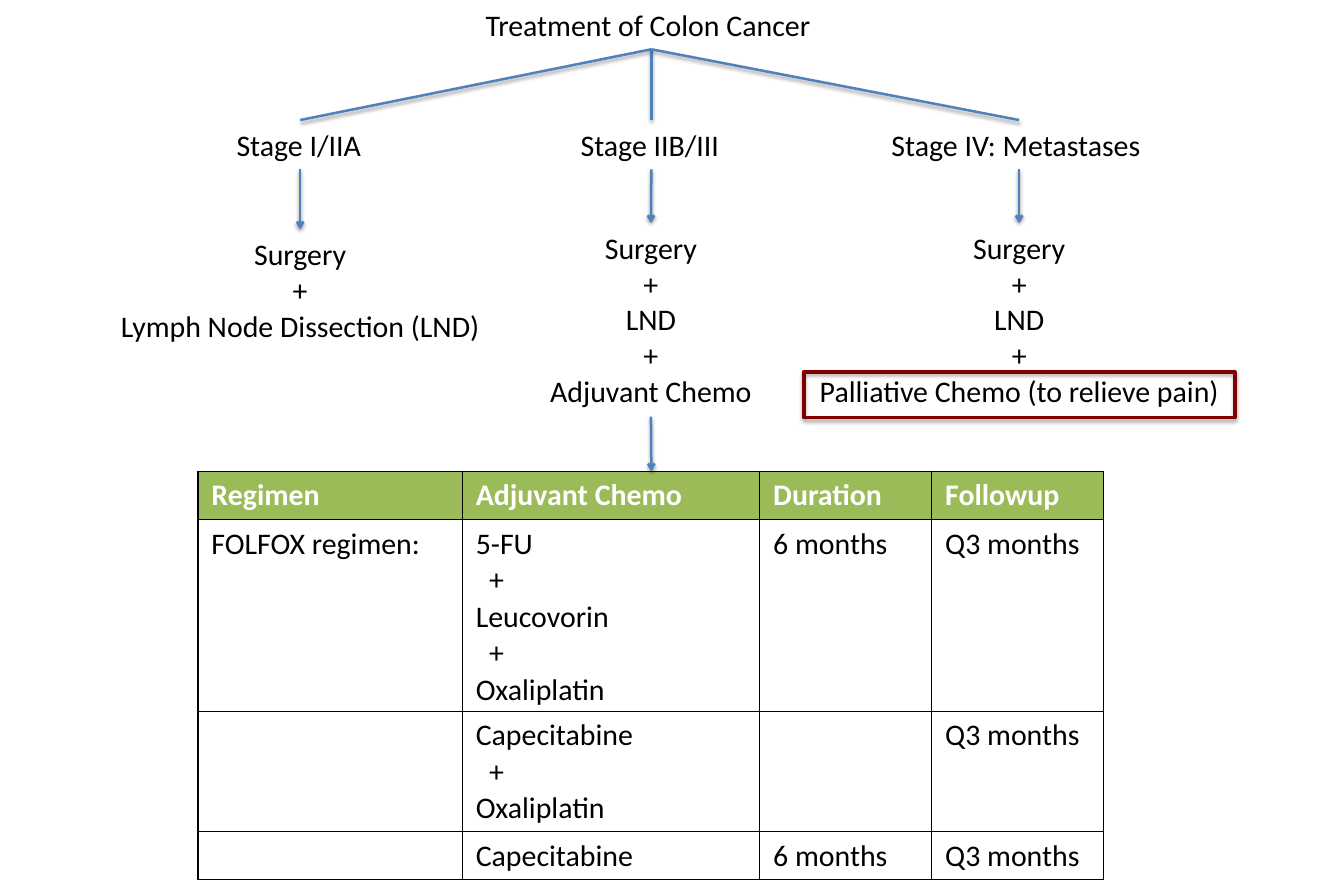
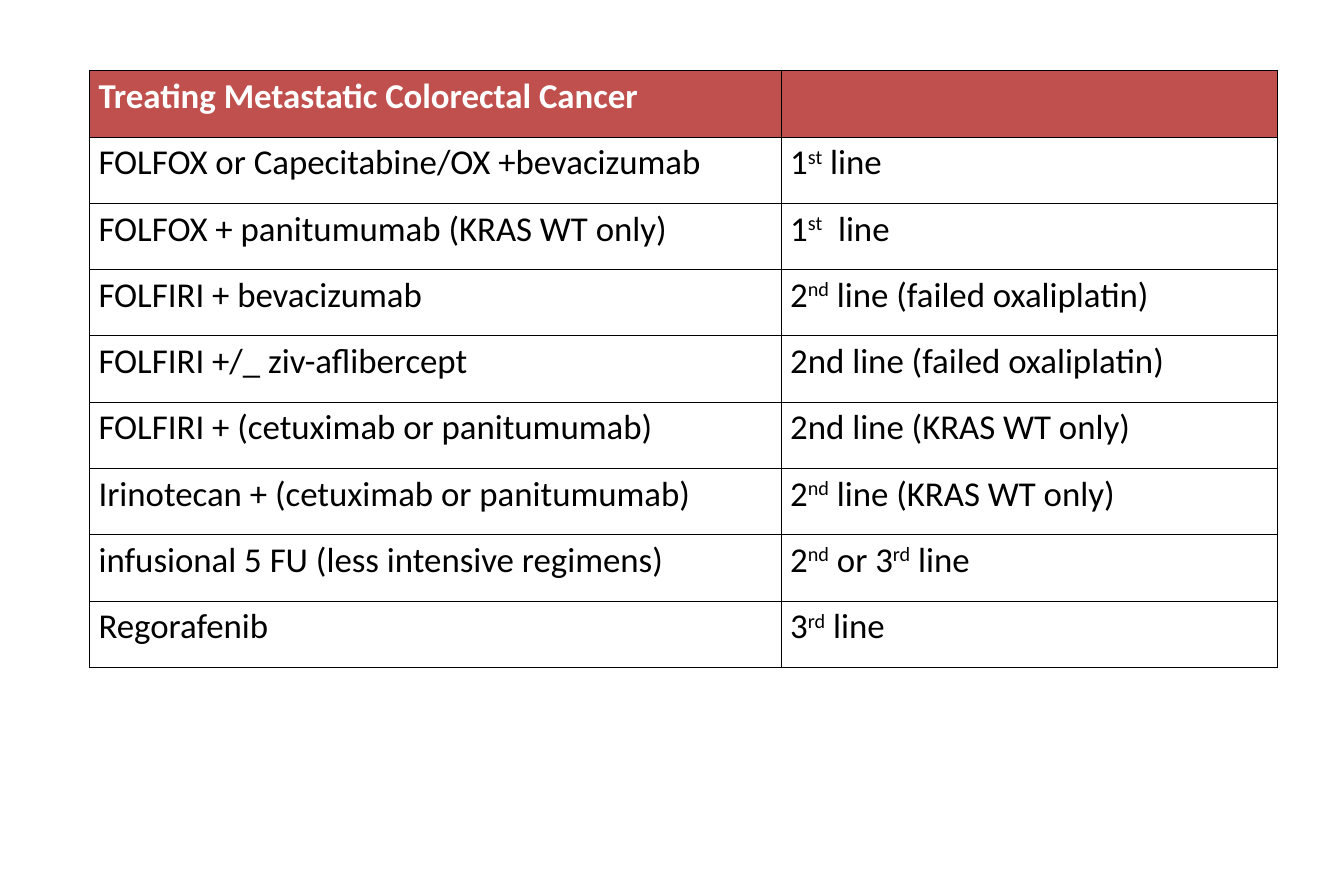
"""Builds two slides on the treatment of colon cancer."""
from lxml import etree
from pptx import Presentation
from pptx.dml.color import RGBColor
from pptx.enum.shapes import MSO_CONNECTOR, MSO_SHAPE
from pptx.enum.text import MSO_AUTO_SIZE, PP_ALIGN
from pptx.oxml.ns import qn
from pptx.util import Inches, Pt

STRAIGHT = MSO_CONNECTOR.STRAIGHT
RECTANGLE = MSO_SHAPE.RECTANGLE
FIT_SHAPE = MSO_AUTO_SIZE.SHAPE_TO_FIT_TEXT
LEFT, CENTER = PP_ALIGN.LEFT, PP_ALIGN.CENTER
TOP, BOTTOM = 0, 2
FONT = "Calibri"
COLORS = {
    "text": "000000",
    "header text": "FFFFFF",
    "arrow": "4F81BD",
    "highlight": "800000",
    "regimen header": "9BBB59",
    "metastatic header": "C0504D",
}


def add_shadow(shape, opacity, distance):
    effects = etree.SubElement(shape._element.spPr, qn("a:effectLst"))
    shadow = etree.SubElement(effects, qn("a:outerShdw"), blurRad=str(Pt(3.1)),
                              dist=str(Pt(distance)), dir="5400000", rotWithShape="0")
    color = etree.SubElement(shadow, qn("a:srgbClr"), val=COLORS["text"])
    etree.SubElement(color, qn("a:alpha"), val=str(opacity * 1000))


def add_grid(page, left, top, widths, heights, rows, header, size, margins):
    frame = page.shapes.add_table(len(rows), len(widths), Inches(left), Inches(top),
                                  Inches(sum(widths)), Inches(sum(heights)))
    table = frame.table
    table.horz_banding = False
    for column, width in zip(table.columns, widths):
        column.width = Inches(width)
    for row_index, (row, height, texts) in enumerate(zip(table.rows, heights, rows)):
        row.height = Inches(height)
        is_header = row_index == 0
        for cell, text in zip(row.cells, texts):
            cell.margin_left = cell.margin_right = Inches(margins[0])
            cell.margin_top = cell.margin_bottom = Inches(margins[1])
            properties = cell._tc.get_or_add_tcPr()
            for side in ("lnL", "lnR", "lnT", "lnB"):
                border = etree.SubElement(properties, qn(f"a:{side}"), w=str(Pt(1)))
                paint = etree.SubElement(border, qn("a:solidFill"))
                etree.SubElement(paint, qn("a:srgbClr"), val=COLORS["text"])
            if is_header:
                cell.fill.solid()
                cell.fill.fore_color.rgb = RGBColor.from_string(COLORS[header])
            else:
                cell.fill.background()
            cell.text = text.replace("^", "") if "^" not in text else ""
            for para in cell.text_frame.paragraphs:
                if "^" in text:
                    for part_index, part in enumerate(text.split("^")):
                        span = para.add_run()
                        span.text = part
                        if part_index % 2:
                            span._r.get_or_add_rPr().set("baseline", "30000")
                if para.text == "+":
                    para._p.get_or_add_pPr().set("marL", str(Inches(0.15)))
                para.font.name = FONT
                para.font.size = Pt(size)
                para.font.bold = is_header
                color = COLORS["header text" if is_header else "text"]
                para.font.color.rgb = RGBColor.from_string(color)


deck = Presentation()
deck.slide_width = Inches(15)
deck.slide_height = Inches(10)
blank = deck.slide_layouts[6]

page = deck.slides.add_slide(blank)
flow_texts = [
    ("Treatment of Colon Cancer", 5.28, 0, 3.98, 0.55, LEFT),
    ("Stage I/IIA", 2.5, 1.34, 1.7, 0.55, LEFT),
    ("Stage IIB/III", 6.34, 1.34, 1.86, 0.55, LEFT),
    ("Stage IV: Metastases", 9.81, 1.34, 3.13, 0.55, LEFT),
    ("Surgery\n+\nLymph Node Dissection (LND)", 1.18, 2.56, 4.34, 1.36, CENTER),
    ("Surgery\n+\nLND\n+\nAdjuvant Chemo", 5.98, 2.49, 2.57, 2.16, CENTER),
    ("Surgery\n+\nLND\n+\nPalliative Chemo (to relieve pain)", 8.97, 2.49, 4.81, 2.16, CENTER),
]
boxes = []
for text, left, top, width, height, alignment in flow_texts:
    box = page.shapes.add_textbox(Inches(left), Inches(top), Inches(width), Inches(height))
    frame = box.text_frame
    frame.word_wrap = False
    frame.auto_size = FIT_SHAPE
    frame.margin_left = frame.margin_right = Inches(0.14)
    frame.margin_top = frame.margin_bottom = Inches(0.07)
    frame.text = text
    for para in frame.paragraphs:
        para.alignment = alignment
        para.font.name = FONT
        para.font.size = Pt(24)
        para.font.color.rgb = RGBColor.from_string(COLORS["text"])
    boxes.append(box)

title, stages, treatments = boxes[0], boxes[1:4], boxes[4:]
add_grid(
    page, 2.21, 5.26, [2.95, 3.32, 1.92, 1.92], [0.53, 2.14, 1.33, 0.53],
    [
        ("Regimen", "Adjuvant Chemo", "Duration", "Followup"),
        ("FOLFOX regimen:", "5-FU\n+\nLeucovorin\n+\nOxaliplatin", "6 months", "Q3 months"),
        ("", "Capecitabine\n+\nOxaliplatin", "", "Q3 months"),
        ("", "Capecitabine", "6 months", "Q3 months"),
    ],
    "regimen header", 24, (0.15, 0.07),
)

links = [(title, stage, False) for stage in stages]
links += [(stage, treatment, True) for stage, treatment in zip(stages, treatments)]
links.append((treatments[1], None, True))
for start, end, has_arrowhead in links:
    connector = page.shapes.add_connector(STRAIGHT, Inches(7.27), Inches(4.66),
                                          Inches(7.27), Inches(5.26))
    connector.begin_connect(start, BOTTOM)
    if end is not None:
        connector.end_connect(end, TOP)
    connector.line.color.rgb = RGBColor.from_string(COLORS["arrow"])
    connector.line.width = Pt(2)
    if has_arrowhead:
        etree.SubElement(connector.line._get_or_add_ln(), qn("a:tailEnd"), type="arrow")
    add_shadow(connector, 38, 1.6)

highlight = page.shapes.add_shape(RECTANGLE, Inches(8.97), Inches(4.15), Inches(4.81), Inches(0.51))
highlight.fill.background()
highlight.line.color.rgb = RGBColor.from_string(COLORS["highlight"])
highlight.line.width = Pt(3)
add_shadow(highlight, 35, 1.8)

page = deck.slides.add_slide(blank)
metastatic_rows = [
    ("Treating Metastatic Colorectal Cancer", ""),
    ("FOLFOX or Capecitabine/OX +bevacizumab", "1^st^ line"),
    ("FOLFOX + panitumumab (KRAS WT only)", "1^st^  line"),
    ("FOLFIRI + bevacizumab", "2^nd^ line (failed oxaliplatin)"),
    ("FOLFIRI +/_ ziv-aflibercept", "2nd line (failed oxaliplatin)"),
    ("FOLFIRI + (cetuximab or panitumumab)", "2nd line (KRAS WT only)"),
    ("Irinotecan + (cetuximab or panitumumab)", "2^nd^ line (KRAS WT only)"),
    ("infusional 5 FU (less intensive regimens)", "2^nd^ or 3^rd^ line"),
    ("Regorafenib", "3^rd^ line"),
]
add_grid(page, 1, 0.79, [7.72, 5.54], [0.74] * len(metastatic_rows), metastatic_rows,
         "metastatic header", 28, (0.1, 0.05))

deck.save("out.pptx")
